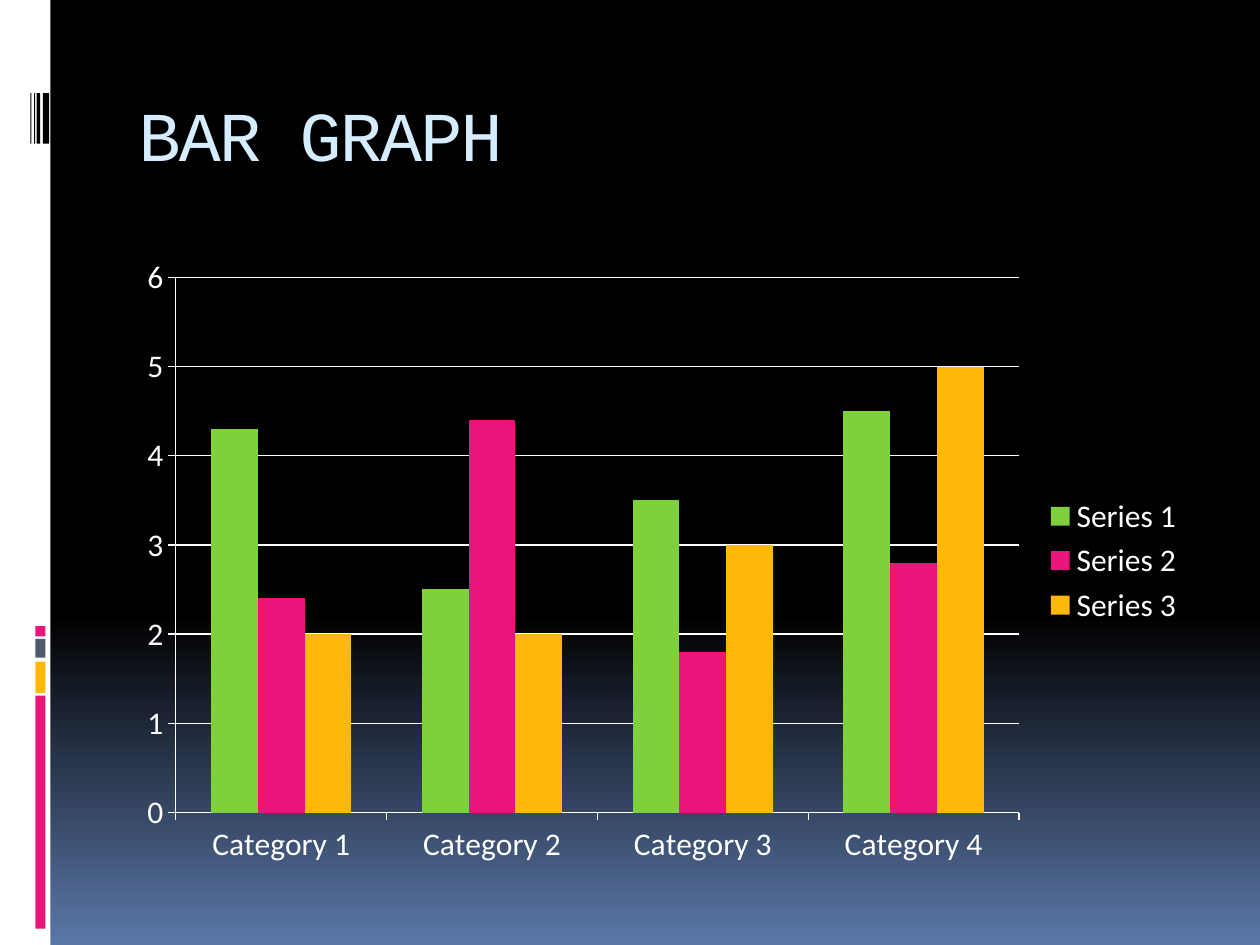
from copy import deepcopy

from pptx import Presentation
from pptx.chart.data import CategoryChartData
from pptx.dml.color import RGBColor
from pptx.enum.chart import XL_CHART_TYPE, XL_LEGEND_POSITION, XL_TICK_MARK
from pptx.enum.shapes import MSO_SHAPE
from pptx.enum.text import MSO_ANCHOR, PP_ALIGN
from pptx.util import Inches, Pt

WHITE, BLACK, PINK, GOLD = "FFFFFF", "000000", "EA157A", "FEB80A"
GREEN, SLATE, BLUE, PALE = "7FD13B", "4E5B6F", "5B77A8", "D6ECFF"


def color(value):
    return RGBColor.from_string(value)


def apply(target, formats):
    for name, value in formats.items():
        setattr(target, name, value)


class SlideBuilder:
    title_font = {"name": "Courier New", "size": Pt(40)}
    chart_font = {"name": "Calibri", "size": Pt(18)}

    def __init__(self, deck):
        self.page = deck.slides.add_slide(deck.slide_layouts[5])

    def background(self, stops, angle):
        fill = self.page.background.fill
        fill.gradient()
        fill.gradient_angle = angle
        # The default gradient has two stops; add the missing ones
        first = self.page.background._cSld.xpath(".//a:gs")[0]
        for _ in stops[2:]:
            first.addnext(deepcopy(first))
        for stop, (position, value) in zip(fill.gradient_stops, stops):
            stop.position = position
            stop.color.rgb = color(value)

    def bar(self, left, top, width, height, value):
        box = self.page.shapes.add_shape(
            MSO_SHAPE.RECTANGLE, *map(Inches, (left, top, width, height)))
        box.shadow.inherit = False
        box.fill.solid()
        box.fill.fore_color.rgb = color(value)
        box.line.fill.background()

    def title(self, text, left, top, width, height):
        box = self.page.shapes.title
        apply(box, {"left": Inches(left), "top": Inches(top),
                    "width": Inches(width), "height": Inches(height)})
        apply(box.text_frame, {"vertical_anchor": MSO_ANCHOR.MIDDLE, "word_wrap": True})
        para = box.text_frame.paragraphs[0]
        para.alignment = PP_ALIGN.LEFT
        span = para.add_run()
        span.text = text
        apply(span.font, self.title_font)
        span.font.color.rgb = color(PALE)
        span.font._element.set("spc", "-100")

    def column_chart(self, left, top, width, height, categories, series):
        data = CategoryChartData()
        data.categories = categories
        for name, values, _ in series:
            data.add_series(name, values)
        chart = self.page.shapes.add_chart(
            XL_CHART_TYPE.COLUMN_CLUSTERED,
            *map(Inches, (left, top, width, height)), data).chart
        apply(chart, {"has_title": False, "has_legend": True})
        apply(chart.font, self.chart_font)
        chart.font.color.rgb = color(WHITE)
        apply(chart.legend, {"position": XL_LEGEND_POSITION.RIGHT,
                             "include_in_layout": False})

        plot = chart.plots[0]
        apply(plot, {"gap_width": 150, "overlap": 0, "vary_by_categories": False})
        for column, (_, _, value) in zip(plot.series, series):
            column.format.fill.solid()
            column.format.fill.fore_color.rgb = color(value)

        apply(chart.value_axis, {"minimum_scale": 0, "maximum_scale": 6,
                                 "major_unit": 1, "has_major_gridlines": True})
        for axis in (chart.category_axis, chart.value_axis):
            axis.major_tick_mark = XL_TICK_MARK.OUTSIDE
        for part in (chart.category_axis, chart.value_axis,
                     chart.value_axis.major_gridlines):
            part.format.line.width = Pt(0.75)
            part.format.line.color.rgb = color(WHITE)


def main():
    deck = Presentation()
    deck.slide_width, deck.slide_height = Inches(10), Inches(7.5)
    slide = SlideBuilder(deck)
    slide.background([(0, BLACK), (0.65, BLACK), (1, BLUE)], 270)

    # White side band
    slide.bar(0, 0, 0.4, 7.5, WHITE)

    # Coloured blocks on the band
    for top, height, value in [(5.52, 1.85, PINK), (5.25, 0.25, GOLD),
                               (5.07, 0.15, SLATE), (4.97, 0.08, PINK)]:
        slide.bar(0.28, top, 0.08, height, value)

    # Black stripes beside the title
    for left, width in [(0.34, 0.05), (0.29, 0.03), (0.27, 0.01), (0.24, 0.01)]:
        slide.bar(left, 0.74, width, 0.4, BLACK)

    # Title and chart
    slide.title("BAR GRAPH", 1, 0.56, 8.5, 1)
    slide.column_chart(
        1, 1.95, 8.5, 5,
        [f"Category {number}" for number in range(1, 5)],
        [("Series 1", (4.3, 2.5, 3.5, 4.5), GREEN),
         ("Series 2", (2.4, 4.4, 1.8, 2.8), PINK),
         ("Series 3", (2, 2, 3, 5), GOLD)])

    deck.save("out.pptx")


if __name__ == "__main__":
    main()
